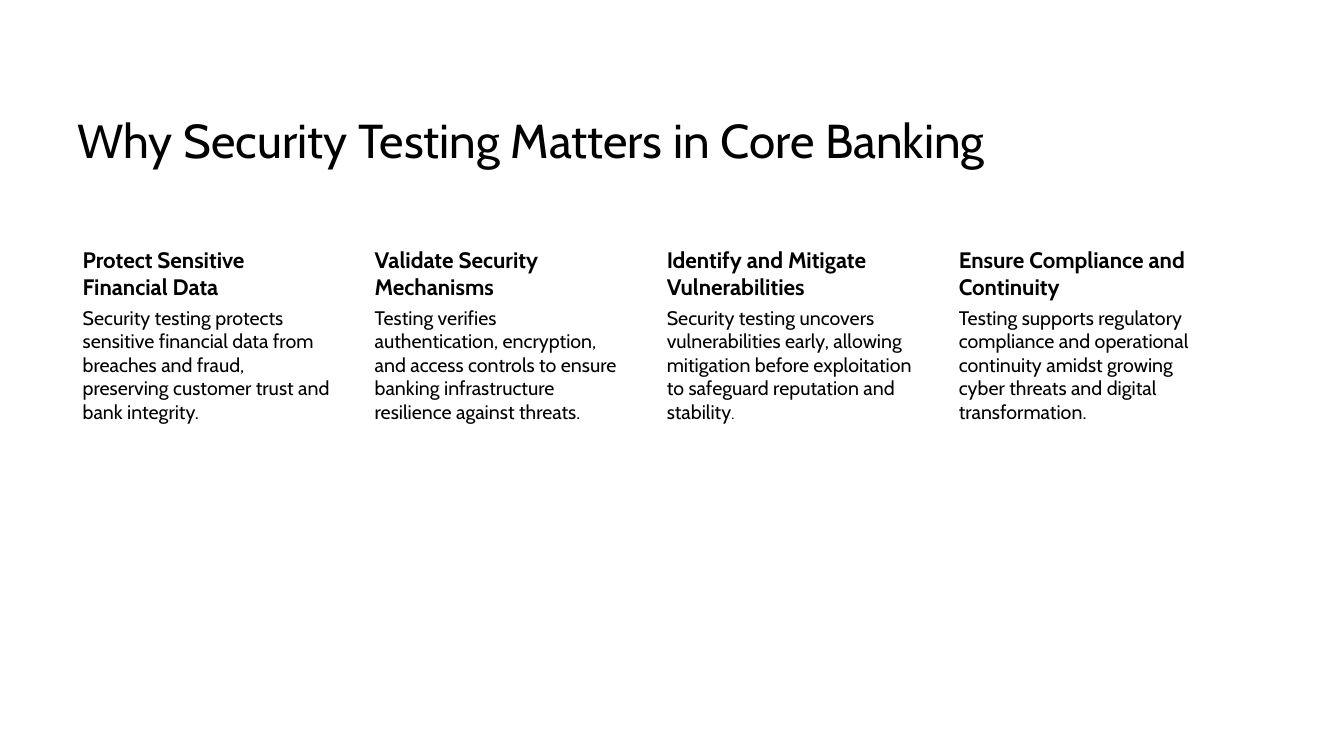
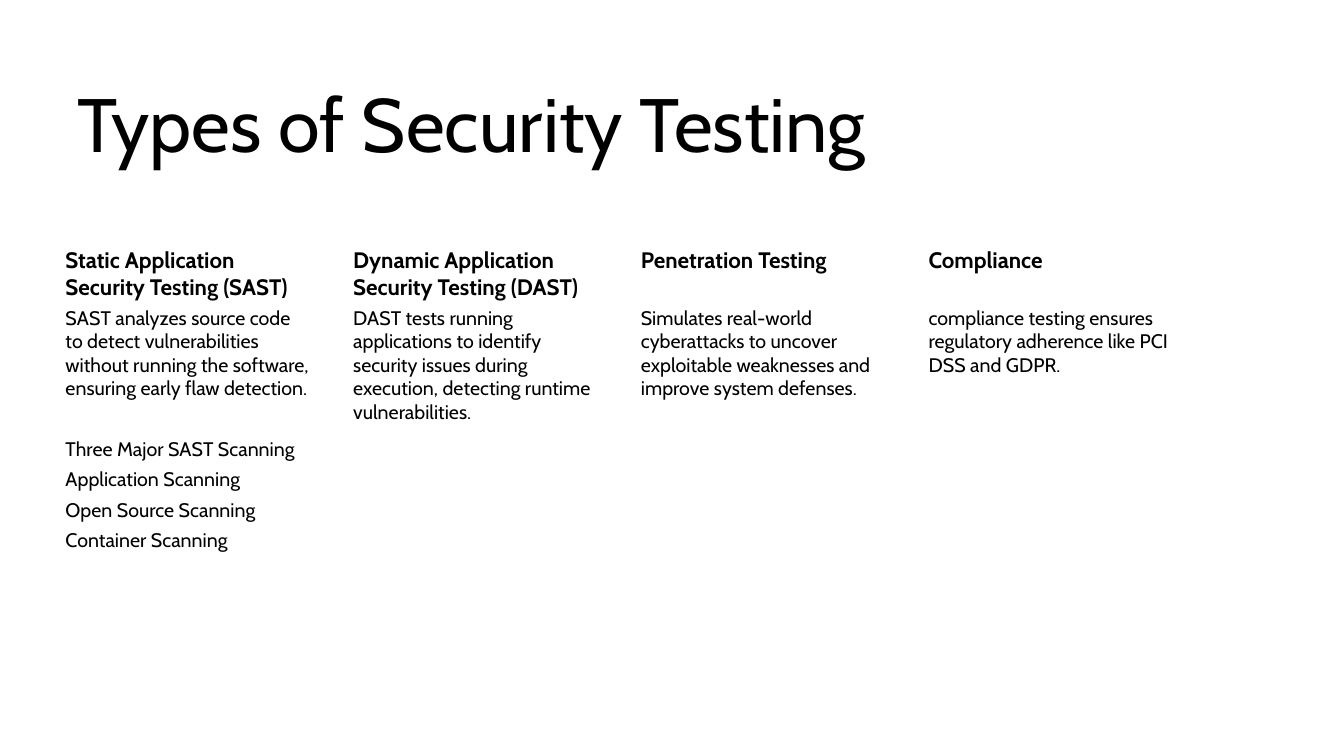
from dataclasses import dataclass

from pptx import Presentation
from pptx.dml.color import RGBColor
from pptx.enum import text
from pptx.util import Inches, Pt

COLORS = {"text": "000000", "background": "FFFFFF"}
FONT = "Cabin"
HEADING_TOP, BODY_TOP = 2.42, 3.01
HEADING_SIZE, BODY_SIZE = 16, 14
TITLE_INSETS = (0.1, 0.05, 0.1, 0.05)
COLUMN_INSETS = (0.15, 0.02, 0.02, 0.02)
PARAGRAPH_GAP = Pt(4.9)
LIST_GAP = Pt(21.8)


@dataclass(frozen=True)
class Column:
    heading: str
    body: str
    items: tuple[str, ...] = ()
    end_mark: str = ""  # closing mark in a smaller size


@dataclass(frozen=True)
class ColumnPage:
    title: str
    title_size: int
    first_left: float
    last_left: float
    width: float
    body_height: float
    columns: tuple[Column, ...]


PAGES = (
    ColumnPage("Why Security Testing Matters in Core Banking", 34, 0.67, 9.36, 2.63, 4.05, (
        Column("Protect Sensitive Financial Data",
               "Security testing protects sensitive financial data from breaches and fraud, "
               "preserving customer trust and bank integrity."),
        Column("Validate Security Mechanisms",
               "Testing verifies authentication, encryption, and access controls to ensure "
               "banking infrastructure resilience against threats."),
        Column("Identify and Mitigate Vulnerabilities",
               "Security testing uncovers vulnerabilities early, allowing mitigation before "
               "exploitation to safeguard reputation and stability", end_mark="."),
        Column("Ensure Compliance and Continuity",
               "Testing supports regulatory compliance and operational continuity amidst "
               "growing cyber threats and digital transformation."),
    )),
    ColumnPage("Types of Security Testing", 54, 0.5, 9.06, 2.6, 3.88, (
        Column("Static Application Security Testing (SAST)",
               "SAST analyzes source code to detect vulnerabilities without running the "
               "software, ensuring early flaw detection.",
               ("Three Major SAST Scanning", "Application Scanning",
                "Open Source Scanning", "Container Scanning")),
        Column("Dynamic Application Security Testing (DAST)",
               "DAST tests running applications to identify security issues during "
               "execution, detecting runtime vulnerabilities."),
        Column("Penetration Testing",
               "Simulates real-world cyberattacks to uncover exploitable weaknesses and "
               "improve system defenses."),
        Column("Compliance",
               "compliance testing ensures regulatory adherence like PCI DSS and GDPR."),
    )),
)


def style_font(font, size: int, bold: bool = False) -> None:
    font.name = FONT
    font.size = Pt(size)
    font.bold = bold
    font.color.rgb = RGBColor.from_string(COLORS["text"])


def add_text(page, left: float, top: float, width: float, height: float, content: str,
             size: int, bold: bool = False, insets=COLUMN_INSETS):
    """Add a wrapped text box with one paragraph per line of content."""
    box = page.shapes.add_textbox(Inches(left), Inches(top), Inches(width), Inches(height))
    frame = box.text_frame
    frame.word_wrap = True
    frame.margin_left, frame.margin_top, frame.margin_right, frame.margin_bottom = map(Inches, insets)
    frame.text = content
    for para in frame.paragraphs:
        para.space_after = PARAGRAPH_GAP
        for span in para.runs:
            style_font(span.font, size, bold)
    return frame


def add_title(page, content: str, size: int) -> None:
    frame = add_text(page, 0.67, 0.75, 11.99, 0.97, content, size, insets=TITLE_INSETS)
    frame.vertical_anchor = text.MSO_ANCHOR.BOTTOM
    frame.paragraphs[0].line_spacing = 0.9
    frame.paragraphs[0].space_after = Pt(0)


def add_column(page, column: Column, left: float, width: float, body_height: float) -> None:
    add_text(page, left, HEADING_TOP, width, BODY_TOP - HEADING_TOP,
             column.heading, HEADING_SIZE, bold=True)
    frame = add_text(page, left, BODY_TOP, width, body_height,
                     "\n".join((column.body, *column.items)), BODY_SIZE)
    if column.items:
        frame.paragraphs[1].space_before = LIST_GAP
    if column.end_mark:
        span = frame.paragraphs[0].add_run()
        span.text = column.end_mark
        style_font(span.font, 11)


def add_page(deck, content: ColumnPage) -> None:
    page = deck.slides.add_slide(deck.slide_layouts[6])
    page.background.fill.solid()
    page.background.fill.fore_color.rgb = RGBColor.from_string(COLORS["background"])
    add_title(page, content.title, content.title_size)
    # Columns at equal steps from the first to the last
    step = (content.last_left - content.first_left) / (len(content.columns) - 1)
    for index, column in enumerate(content.columns):
        add_column(page, column, content.first_left + index * step,
                   content.width, content.body_height)


def main() -> None:
    deck = Presentation()
    deck.slide_width, deck.slide_height = Inches(13.33), Inches(7.5)
    for content in PAGES:
        add_page(deck, content)
    deck.save("out.pptx")


if __name__ == "__main__":
    main()
